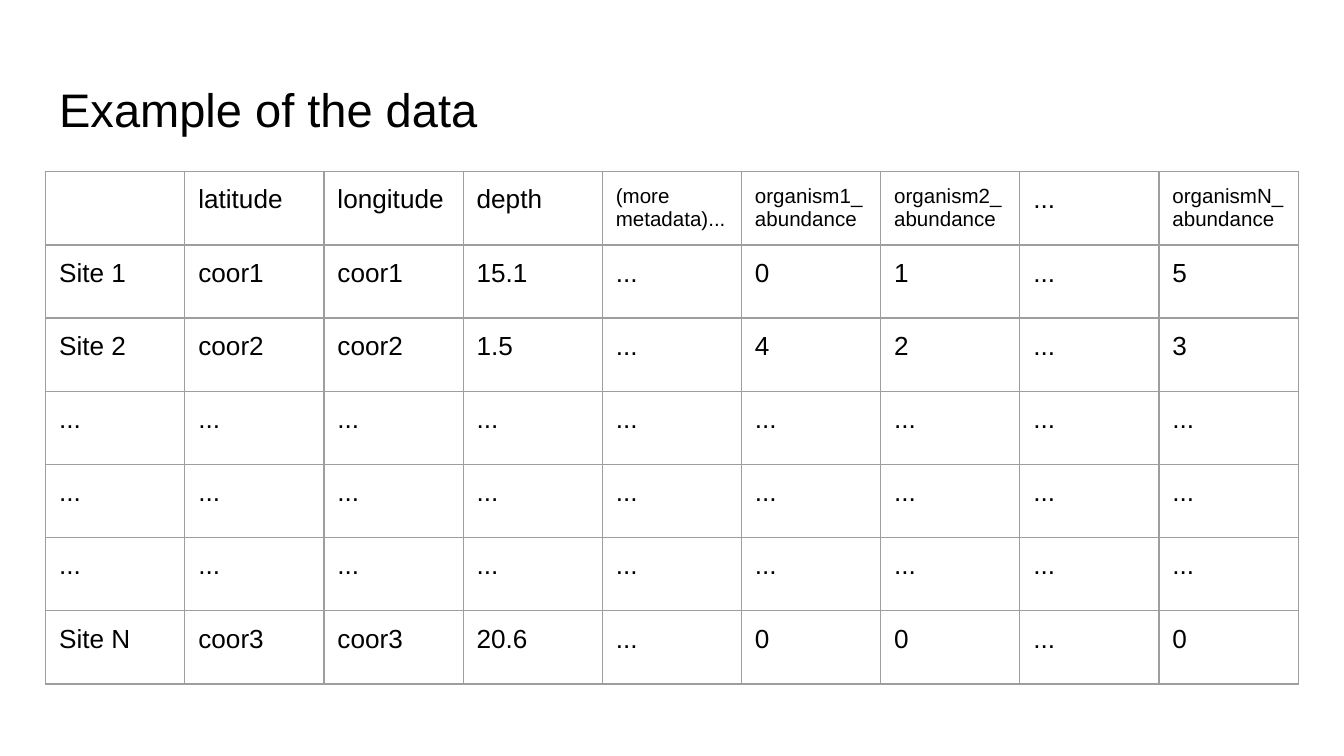
import lxml.etree
import pptx
import pptx.dml.color
import pptx.enum.text
import pptx.oxml.ns
import pptx.util

Pt = pptx.util.Pt
BLACK = "000000"
GRID = "9E9E9E"
DOTS = "..."
MARGIN = 24.5
CONTENT_WIDTH = 671
INSET = 7.2

HEADER = ["", "latitude", "longitude", "depth", "(more metadata)...",
          "organism1_abundance", "organism2_abundance", DOTS, "organismN_abundance"]
ROWS = [
    HEADER,
    ["Site 1", "coor1", "coor1", "15.1", DOTS, "0", "1", DOTS, "5"],
    ["Site 2", "coor2", "coor2", "1.5", DOTS, "4", "2", DOTS, "3"],
    *[[DOTS] * len(HEADER) for _ in range(3)],
    ["Site N", "coor3", "coor3", "20.6", DOTS, "0", "0", DOTS, "0"],
]


def color(value):
    """Return the colour for a hex string."""
    return pptx.dml.color.RGBColor.from_string(value)


def write_text(text_frame, text, size=14, fill=BLACK, font="Arial"):
    """Put formatted, left-aligned text into a text frame."""
    text_frame.word_wrap = True
    paragraph = text_frame.paragraphs[0]
    paragraph.alignment = pptx.enum.text.PP_ALIGN.LEFT
    run = paragraph.add_run()
    run.text = text
    run.font.size = Pt(size)
    run.font.name = font
    run.font.color.rgb = color(fill)


def set_insets(target):
    """Give a cell or text frame equal margins on all sides."""
    for side in ("left", "top", "right", "bottom"):
        setattr(target, f"margin_{side}", Pt(INSET))


def add_borders(cell, fill=GRID, width=0.75):
    """Draw a solid line on each side of a cell."""
    qualified = pptx.oxml.ns.qn
    properties = cell._tc.get_or_add_tcPr()
    for side in ("lnL", "lnR", "lnT", "lnB"):
        line = lxml.etree.SubElement(properties, qualified(f"a:{side}"), w=str(Pt(width)))
        solid = lxml.etree.SubElement(line, qualified("a:solidFill"))
        lxml.etree.SubElement(solid, qualified("a:srgbClr"), val=fill)


def place_title(slide, text, left, top, width, height):
    """Move the title placeholder into its box and fill it."""
    title = slide.shapes.title
    title.left, title.top, title.width, title.height = map(Pt, (left, top, width, height))
    set_insets(title.text_frame)
    title.text_frame.vertical_anchor = pptx.enum.text.MSO_ANCHOR.MIDDLE
    write_text(title.text_frame, text, size=25.2)


def place_data_table(slide, rows, left, top, width, height):
    """Add an evenly divided table of site data in its box."""
    frame = slide.shapes.add_table(len(rows), len(rows[0]), *map(Pt, (left, top, width, height)))
    table = frame.table
    table.first_row = False
    table.horz_banding = False
    for column in table.columns:
        column.width = Pt(width / len(rows[0]))
    for row, values in zip(table.rows, rows):
        row.height = Pt(height / len(rows))
        for cell, value in zip(row.cells, values):
            set_insets(cell)
            add_borders(cell)
            cell.fill.background()
            if value:
                write_text(cell.text_frame, value, size=11 if len(value) > 10 else 14)


def build():
    """Build and save the presentation."""
    presentation = pptx.Presentation()
    presentation.slide_width = Pt(720)
    presentation.slide_height = Pt(405)
    slide = presentation.slides.add_slide(presentation.slide_layouts[5])
    place_title(slide, "Example of the data", MARGIN, 35.5, CONTENT_WIDTH, 45)
    place_data_table(slide, ROWS, MARGIN, 92, CONTENT_WIDTH, 274.5)
    presentation.save("out.pptx")


build()
